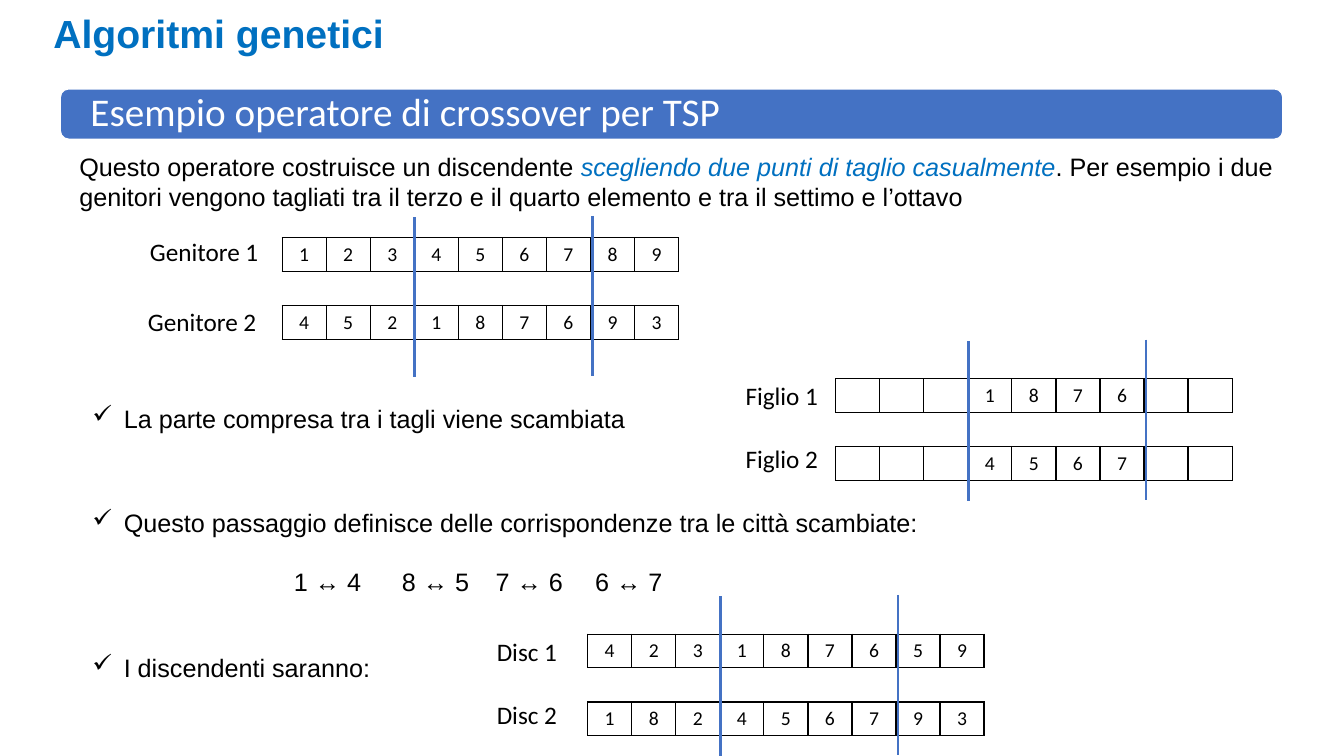
from dataclasses import dataclass

from lxml import etree
from pptx import Presentation
from pptx.dml.color import RGBColor
from pptx.enum.shapes import MSO_CONNECTOR, MSO_SHAPE
from pptx.enum.text import MSO_ANCHOR, MSO_AUTO_SIZE, PP_ALIGN
from pptx.oxml.ns import qn
from pptx.slide import Slide
from pptx.table import _Cell
from pptx.text.text import TextFrame, _Paragraph
from pptx.util import Cm, Pt

STRAIGHT = MSO_CONNECTOR.STRAIGHT
ROUNDED = MSO_SHAPE.ROUNDED_RECTANGLE
MIDDLE = MSO_ANCHOR.MIDDLE
GROW = MSO_AUTO_SIZE.SHAPE_TO_FIT_TEXT
LEFT = PP_ALIGN.LEFT
CENTER = PP_ALIGN.CENTER

BLACK = "000000"
WHITE = "FFFFFF"
BLUE = "0070C0"
ACCENT = "4472C4"

GENE_WIDTH = 1.11
GENE_HEIGHT = 0.85
ROW_STEP = 1.71
CUT_OFFSETS = (3.34, 7.82)
CUT_LENGTH = 4.03
CUT_SHIFT = 0.04
MAPPING_TABS = (5.08, 7.8, 10.16, 12.67)


@dataclass
class Label:
    text: str
    left: float
    top: float


@dataclass
class Pair:
    left: float
    top: float
    cut_top: float
    labels: tuple[Label, Label]
    genes: tuple[str, str]


@dataclass
class Bullet:
    text: str
    top: float
    width: float
    height: float


PAIRS = [
    Pair(7.11, 5.99, 5.48,
         (Label("Genitore 1", 3.53, 5.82), Label("Genitore 2", 3.48, 7.59)),
         ("123456789", "452187693")),
    Pair(21.06, 9.54, 8.6,
         (Label("Figlio 1", 18.54, 9.45), Label("Figlio 2", 18.54, 11.05)),
         ("   1876  ", "   4567  ")),
    Pair(14.81, 15.98, 15.03,
         (Label("Disc 1", 12.27, 15.9), Label("Disc 2", 12.27, 17.5)),
         ("423187659", "182456793")),
]

SWAP = Bullet("La parte compresa tra i tagli viene scambiata", 10.03, 24.1, 1.02)
MATCH = Bullet("Questo passaggio definisce delle corrispondenze tra le città scambiate:",
               12.65, 27.56, 2.57)
RESULT = Bullet("I discendenti saranno:", 16.31, 24.1, 1.02)
MAPPINGS = ("1 ↔ 4", "8 ↔ 5", "7 ↔ 6", "6 ↔ 7")


def colour(value: str) -> RGBColor:
    return RGBColor.from_string(value)


def format_runs(para: _Paragraph, size: int, name: str, tint: str = BLACK) -> None:
    for span in para.runs:
        span.font.size = Pt(size)
        span.font.name = name
        span.font.color.rgb = colour(tint)


def add_text(page: Slide, text: str, left: float, top: float, width: float,
             height: float, name: str) -> TextFrame:
    box = page.shapes.add_textbox(Cm(left), Cm(top), Cm(width), Cm(height))
    frame = box.text_frame
    frame.word_wrap = True
    frame.auto_size = GROW
    frame.text = text
    format_runs(frame.paragraphs[0], 18, name)
    return frame


def add_title(page: Slide) -> None:
    title = page.shapes.title
    title.left, title.top, title.width, title.height = Cm(1.09), Cm(-0.08), Cm(32.08), Cm(1.8)
    frame = title.text_frame
    frame.text = "Algoritmi genetici"
    frame.vertical_anchor = MIDDLE
    para = frame.paragraphs[0]
    para.alignment = LEFT
    format_runs(para, 28, "Arial", BLUE)
    para.runs[0].font.bold = True


def add_banner(page: Slide) -> None:
    banner = page.shapes.add_shape(ROUNDED, Cm(1.52), Cm(2.24), Cm(30.81), Cm(1.27))
    banner.shadow.inherit = False
    banner.fill.solid()
    banner.fill.fore_color.rgb = colour(ACCENT)
    banner.line.color.rgb = colour(WHITE)
    banner.line.width = Pt(1)
    frame = banner.text_frame
    frame.margin_left = Cm(0.7)
    frame.margin_top = frame.margin_bottom = 0
    frame.vertical_anchor = MIDDLE
    frame.text = "Esempio operatore di crossover per TSP"
    para = frame.paragraphs[0]
    para.alignment = LEFT
    para.line_spacing = 0.9
    format_runs(para, 28, "Calibri", WHITE)


def add_intro(page: Slide) -> None:
    frame = add_text(page, "Questo operatore costruisce un discendente ",
                     1.75, 3.68, 30.58, 1.8, "Arial")
    para = frame.paragraphs[0]
    choice = para.add_run()
    choice.text = "scegliendo due punti di taglio casualmente"
    example = para.add_run()
    example.text = (". Per esempio i due genitori vengono tagliati tra il terzo "
                    "e il quarto elemento e tra il settimo e l’ottavo")
    format_runs(para, 18, "Arial")
    choice.font.italic = True
    choice.font.color.rgb = colour(BLUE)


def add_bullet(page: Slide, bullet: Bullet) -> TextFrame:
    frame = add_text(page, bullet.text, 2.08, bullet.top, bullet.width, bullet.height, "Arial")
    properties = frame.paragraphs[0]._p.get_or_add_pPr()
    properties.set("marL", str(Cm(0.79)))
    properties.set("indent", str(-Cm(0.79)))
    etree.SubElement(properties, qn("a:buChar"), char="✓")
    return frame


def add_mappings(frame: TextFrame) -> None:
    para = frame.add_paragraph()
    para.text = "\t" + "\t".join(MAPPINGS)
    para.space_before = Pt(20.7)
    format_runs(para, 18, "Arial")
    tabs = etree.SubElement(para._p.get_or_add_pPr(), qn("a:tabLst"))
    for position in MAPPING_TABS:
        etree.SubElement(tabs, qn("a:tab"), pos=str(Cm(position)), algn="l")


def format_gene(cell: _Cell, gene: str) -> None:
    cell.text = gene
    para = cell.text_frame.paragraphs[0]
    para.alignment = CENTER
    format_runs(para, 14, "Calibri")
    if not gene:
        etree.SubElement(para._p, qn("a:endParaRPr"), sz="1400")
    properties = cell._tc.get_or_add_tcPr()
    for side in ("lnL", "lnR", "lnT", "lnB"):
        border = etree.SubElement(properties, qn(f"a:{side}"), w=str(Pt(1)))
        fill = etree.SubElement(border, qn("a:solidFill"))
        etree.SubElement(fill, qn("a:srgbClr"), val=BLACK)
    cell.fill.background()


def add_chromosome(page: Slide, genes: str, left: float, top: float) -> None:
    table = page.shapes.add_table(1, len(genes), Cm(left), Cm(top),
                                  Cm(GENE_WIDTH * len(genes)), Cm(GENE_HEIGHT)).table
    table.first_row = False
    table.horz_banding = False
    for column, gene in enumerate(genes):
        table.columns[column].width = Cm(GENE_WIDTH)
        format_gene(table.cell(0, column), gene.strip())


def add_cut(page: Slide, left: float, top: float) -> None:
    cut = page.shapes.add_connector(STRAIGHT, Cm(left), Cm(top), Cm(left), Cm(top + CUT_LENGTH))
    cut.line.color.rgb = colour(ACCENT)
    cut.line.width = Pt(2)
    etree.SubElement(cut._element.spPr, qn("a:effectLst"))


def add_pair(page: Slide, pair: Pair) -> None:
    for row, (label, genes) in enumerate(zip(pair.labels, pair.genes)):
        add_text(page, label.text, label.left, label.top, 5.05, 1.03, "Calibri")
        add_chromosome(page, genes, pair.left, pair.top + row * ROW_STEP)
    for order, offset in enumerate(CUT_OFFSETS):
        add_cut(page, pair.left + offset, pair.cut_top - order * CUT_SHIFT)


def main() -> None:
    deck = Presentation()
    deck.slide_width, deck.slide_height = Cm(33.87), Cm(19.05)
    page = deck.slides.add_slide(deck.slide_layouts[5])
    add_title(page)
    add_banner(page)
    add_intro(page)
    add_bullet(page, SWAP)
    add_mappings(add_bullet(page, MATCH))
    add_bullet(page, RESULT)
    for pair in PAIRS:
        add_pair(page, pair)
    deck.save("out.pptx")


if __name__ == "__main__":
    main()
